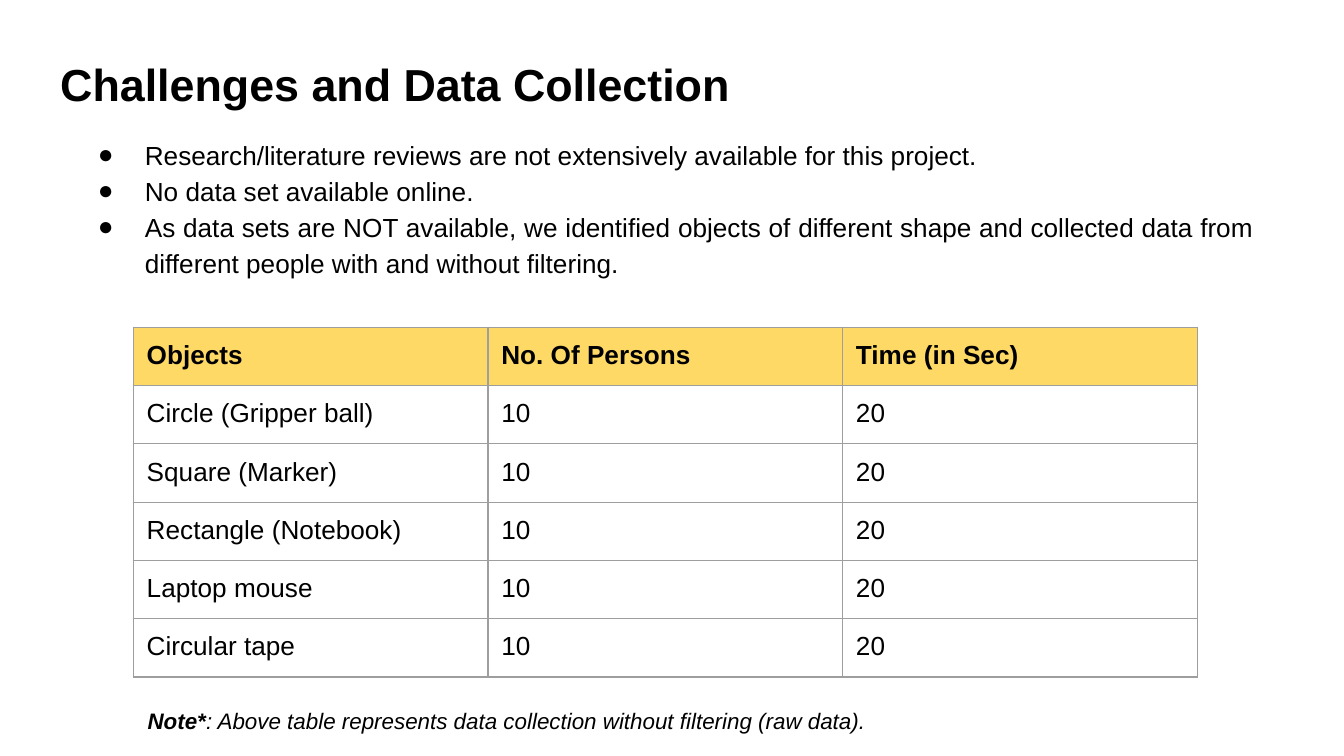
from dataclasses import dataclass

from lxml import etree
from pptx import Presentation
from pptx.dml.color import RGBColor
from pptx.enum.text import MSO_ANCHOR, PP_ALIGN
from pptx.oxml.ns import qn
from pptx.util import Pt

TOP, MIDDLE = MSO_ANCHOR.TOP, MSO_ANCHOR.MIDDLE
JUSTIFY = PP_ALIGN.JUSTIFY

FONT = "Arial"
BLACK, GOLD, GREY = "000000", "FFD966", "9E9E9E"
INSET = 7.2
MARGINS = ("margin_left", "margin_right", "margin_top", "margin_bottom")


@dataclass
class Run:
    text: str
    size: float = 14
    bold: bool = False
    italic: bool = False


@dataclass
class Box:
    left: float
    top: float
    width: float
    height: float
    lines: list[list[Run]]
    anchor: int = TOP
    bullet: bool = False


@dataclass
class Grid:
    left: float
    top: float
    col: float
    row: float
    cells: list[tuple[str, ...]]


def color(value: str) -> RGBColor:
    return RGBColor.from_string(value)


def apply(target, values: dict) -> None:
    for name, value in values.items():
        setattr(target, name, value)


def add_run(para, item: Run) -> None:
    run = para.add_run()
    run.text = item.text
    apply(run.font, {"name": FONT, "size": Pt(item.size),
                     "bold": item.bold, "italic": item.italic})
    run.font.color.rgb = color(BLACK)


def add_bullet(para, before: float) -> None:
    apply(para, {"alignment": JUSTIFY, "line_spacing": 1.15,
                 "space_before": Pt(before)})
    props = para._p.get_or_add_pPr()
    props.set("marL", str(Pt(36)))
    props.set("indent", str(Pt(-25.2)))
    tint = etree.SubElement(props, qn("a:buClr"))
    etree.SubElement(tint, qn("a:srgbClr"), val=BLACK)
    etree.SubElement(props, qn("a:buFont"), typeface=FONT)
    etree.SubElement(props, qn("a:buChar"), char="●")


def draw_box(slide, box: Box) -> None:
    shape = slide.shapes.add_textbox(Pt(box.left), Pt(box.top),
                                     Pt(box.width), Pt(box.height))
    frame = shape.text_frame
    apply(frame, {"word_wrap": True, "vertical_anchor": box.anchor,
                  **dict.fromkeys(MARGINS, Pt(INSET))})
    for i, line in enumerate(box.lines):
        para = frame.add_paragraph() if i else frame.paragraphs[0]
        if box.bullet:
            add_bullet(para, 0 if i else 10)
        for item in line:
            add_run(para, item)


def add_border(cell) -> None:
    props = cell._tc.get_or_add_tcPr()
    for side in ("lnL", "lnR", "lnT", "lnB"):
        line = etree.SubElement(props, qn(f"a:{side}"), w=str(Pt(0.75)))
        fill = etree.SubElement(line, qn("a:solidFill"))
        etree.SubElement(fill, qn("a:srgbClr"), val=GREY)


def draw_grid(slide, grid: Grid) -> None:
    rows, cols = len(grid.cells), len(grid.cells[0])
    frame = slide.shapes.add_table(rows, cols, Pt(grid.left), Pt(grid.top),
                                   Pt(grid.col * cols), Pt(grid.row * rows))
    table = frame.table
    apply(table, {"first_row": False, "horz_banding": False})
    for col in table.columns:
        col.width = Pt(grid.col)
    for r, texts in enumerate(grid.cells):
        table.rows[r].height = Pt(grid.row)
        for c, text in enumerate(texts):
            cell = table.cell(r, c)
            apply(cell, dict.fromkeys(MARGINS, Pt(INSET)))
            add_run(cell.text_frame.paragraphs[0], Run(text, bold=r == 0))
            add_border(cell)
            if r == 0:
                cell.fill.solid()
                cell.fill.fore_color.rgb = color(GOLD)
            else:
                cell.fill.background()


# Content
TITLE = Box(25.2, 23, 417.6, 49.7,
            [[Run("Challenges and Data Collection", 24, bold=True)]])
POINTS = Box(34.5, 62, 644.5, 97.2, [
    [Run("Research/literature reviews are not extensively available "
         "for this project.")],
    [Run("No data set available online.")],
    [Run("As data sets are NOT available, we identified objects of different "
         "shape and collected data from different people with and without "
         "filtering.")],
], MIDDLE, bullet=True)
NOTE = Box(72, 371.5, 417.6, 25.2, [[
    Run("Note*", 12, bold=True, italic=True),
    Run(": Above table represents data collection without filtering "
        "(raw data).", 12, italic=True),
]])
ITEMS = ("Circle (Gripper ball)", "Square (Marker)", "Rectangle (Notebook)",
         "Laptop mouse", "Circular tape")
DATA = Grid(71.4, 175.3, 190, 30.1,
            [("Objects", "No. Of Persons", "Time (in Sec)")]
            + [(item, "10", "20") for item in ITEMS])


def main() -> None:
    deck = Presentation()
    apply(deck, {"slide_width": Pt(720), "slide_height": Pt(405)})
    slide = deck.slides.add_slide(deck.slide_layouts[6])

    # Heading and bullet points
    draw_box(slide, TITLE)
    draw_box(slide, POINTS)

    # Table and its note
    draw_grid(slide, DATA)
    draw_box(slide, NOTE)

    deck.save("out.pptx")


if __name__ == "__main__":
    main()
